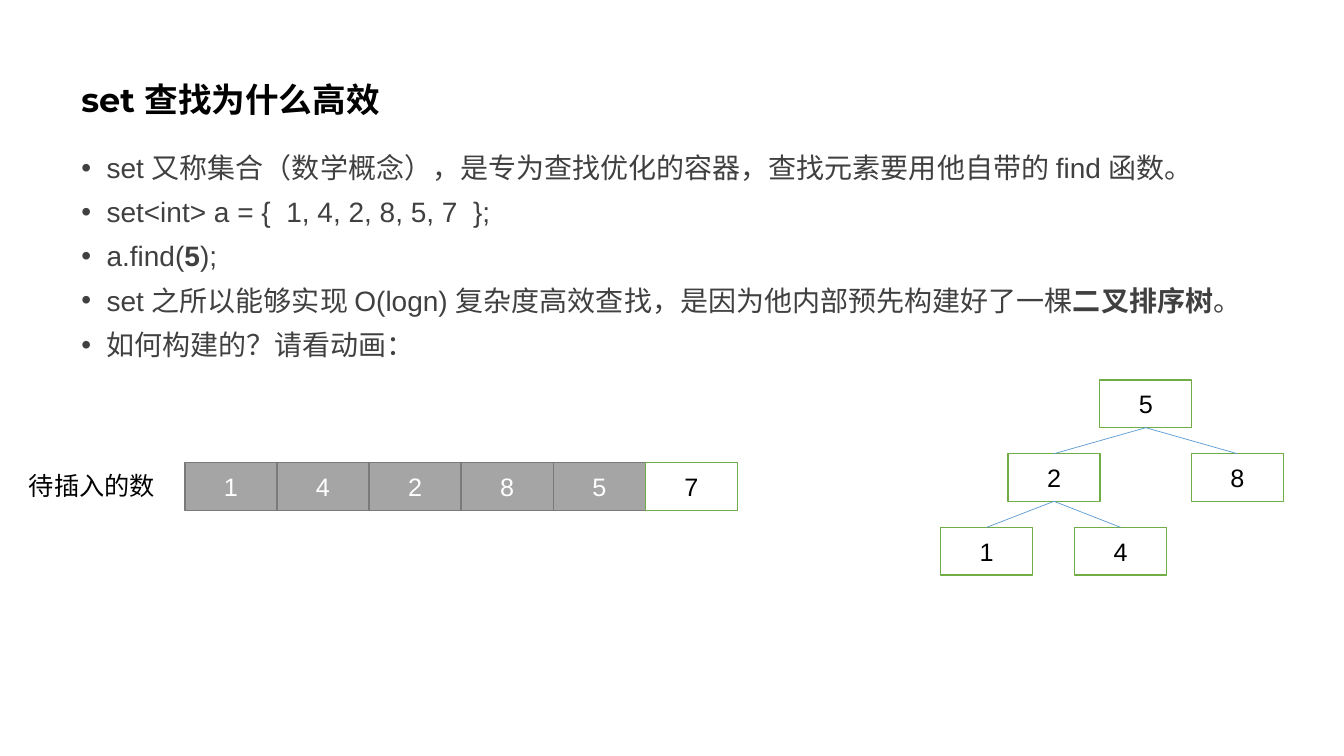
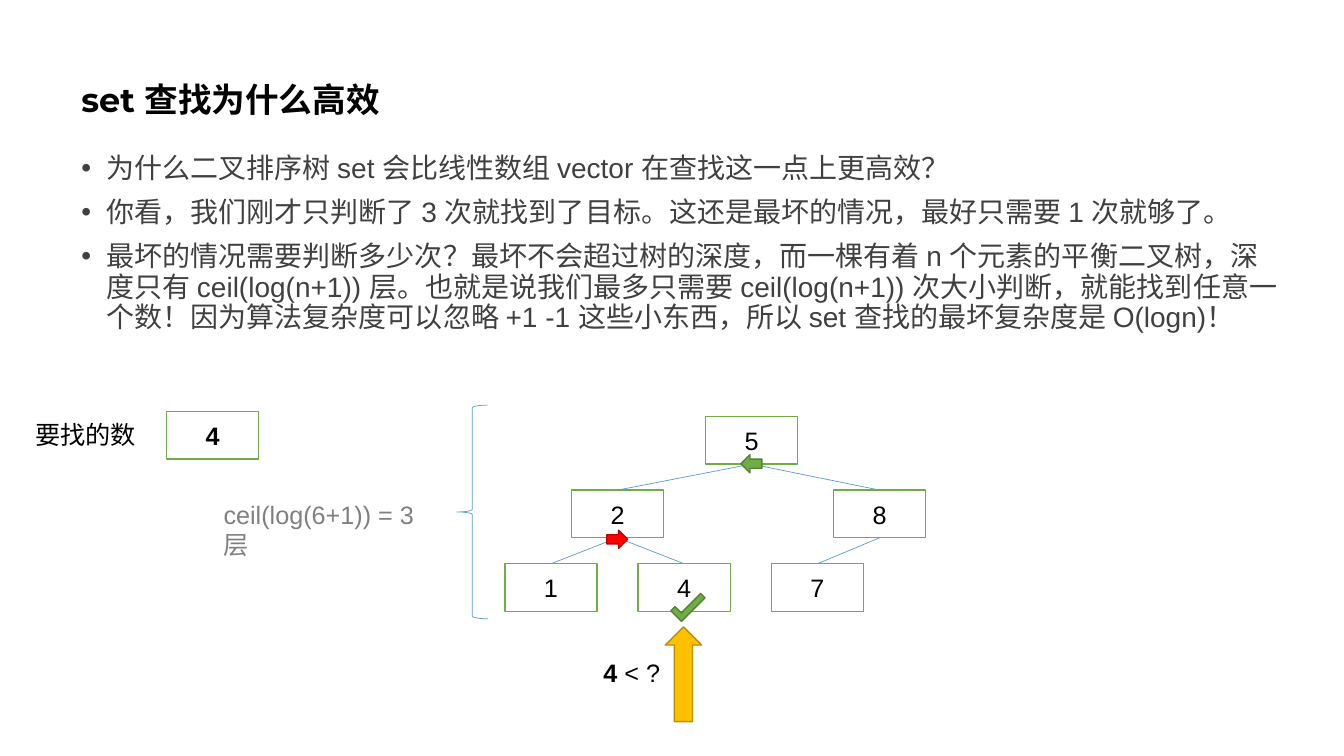
"""Two slides on why lookups in a set are fast."""
from lxml.etree import SubElement
from pptx import Presentation
from pptx.dml.color import RGBColor
from pptx.enum.shapes import MSO_CONNECTOR as CONN, MSO_SHAPE as SHAPE
from pptx.enum.text import MSO_ANCHOR as ANCHOR, PP_ALIGN as ALIGN
from pptx.oxml.ns import qn
from pptx.util import Pt

BLACK = RGBColor(0x00, 0x00, 0x00)
WHITE = RGBColor(0xFF, 0xFF, 0xFF)
INK = RGBColor(0x40, 0x40, 0x40)
NOTE = RGBColor(0x80, 0x80, 0x80)
GRAY = RGBColor(0xA5, 0xA5, 0xA5)
GRAY_EDGE = RGBColor(0x7A, 0x7A, 0x7A)
GREEN = RGBColor(0x70, 0xAD, 0x47)
GREEN_EDGE = RGBColor(0x53, 0x80, 0x35)
RED = RGBColor(0xFF, 0x00, 0x00)
RED_EDGE = RGBColor(0xC0, 0x00, 0x00)
GOLD = RGBColor(0xFF, 0xC0, 0x00)
GOLD_EDGE = RGBColor(0xBD, 0x8E, 0x00)
BLUE = RGBColor(0x5B, 0x9B, 0xD5)
BODY_FONT, TITLE_FONT = "Arial", "Montserrat"
NODE_W, NODE_H, LEVEL_GAP = 65.8, 34, 52.6
TOP, BOTTOM = 0, 2


class Deck:
    def __init__(self):
        self.prs = Presentation()
        self.prs.slide_width, self.prs.slide_height = Pt(960), Pt(540)
        self.s = None

    def slide(self, title, paragraphs):
        self.s = self.prs.slides.add_slide(self.prs.slide_layouts[6])
        tf = self.box(51, 20, 828, 104.4)
        tf.vertical_anchor = ANCHOR.MIDDLE
        p = tf.paragraphs[0]
        p.line_spacing = 0.9
        self.run(p, title, 24, BLACK, True, TITLE_FONT)
        self.bullets(paragraphs)

    def box(self, x, y, w, h, wrap=True):
        tf = self.s.shapes.add_textbox(Pt(x), Pt(y), Pt(w), Pt(h)).text_frame
        tf.word_wrap = wrap
        return tf

    def run(self, p, text, size=18, color=BLACK, bold=False, font=BODY_FONT):
        r = p.add_run()
        r.text = text
        r.font.size, r.font.bold, r.font.name = Pt(size), bold, font
        r.font.color.rgb = color

    def bullets(self, paragraphs):
        tf = self.box(51, 106.6, 870.5, 342.7)
        for i, runs in enumerate(paragraphs):
            p = tf.add_paragraph() if i else tf.paragraphs[0]
            p.line_spacing, p.space_before = 0.9, Pt(10)
            pPr = p._p.get_or_add_pPr()
            pPr.set("marL", str(Pt(18)))
            pPr.set("indent", str(Pt(-18)))
            SubElement(pPr, qn("a:buFont"), typeface="Arial")
            SubElement(pPr, qn("a:buChar"), char="•")
            for j, text in enumerate(runs):
                self.run(p, text, 20, INK, j % 2 == 1)

    def label(self, x, y, w, *runs, wrap=False, color=BLACK):
        p = self.box(x, y, w, 29, wrap).paragraphs[0]
        for text, bold in runs:
            self.run(p, text, color=color, bold=bold)

    def shape(self, kind, x, y, w, h, fill, edge, width=1):
        sp = self.s.shapes.add_shape(kind, Pt(x), Pt(y), Pt(w), Pt(h))
        sp.shadow.inherit = False
        if fill is None:
            sp.fill.background()
        else:
            sp.fill.solid()
            sp.fill.fore_color.rgb = fill
        sp.line.color.rgb, sp.line.width = edge, Pt(width)
        return sp

    def node(self, value, x, y, done=False, bold=False):
        fill, edge, ink = (GRAY, GRAY_EDGE, WHITE) if done else (WHITE, GREEN, BLACK)
        sp = self.shape(SHAPE.RECTANGLE, x, y, NODE_W, NODE_H, fill, edge)
        sp.text_frame.vertical_anchor = ANCHOR.MIDDLE
        p = sp.text_frame.paragraphs[0]
        p.alignment = ALIGN.CENTER
        self.run(p, str(value), color=ink, bold=bold)
        return sp

    def link(self, parent, child):
        c = self.s.shapes.add_connector(CONN.STRAIGHT, 0, 0, 0, 0)
        c.begin_connect(parent, BOTTOM)
        c.end_connect(child, TOP)
        c.line.color.rgb, c.line.width = BLUE, Pt(0.5)
        SubElement(c._element.spPr, qn("a:effectLst"))

    def tree(self, top, levels, edges):
        nodes = {value: self.node(value, x, top + depth * LEVEL_GAP)
                 for depth, level in enumerate(levels)
                 for value, x in level.items()}
        for parent, child in edges:
            self.link(nodes[parent], nodes[child])


def build_slide(deck):
    deck.slide("set 查找为什么高效", [
        ["set 又称集合（数学概念），是专为查找优化的容器，查找元素要用他自带的 find 函数。"],
        ["set<int> a = {  1, 4, 2, 8, 5, 7  };"],
        ["a.find(", "5", ");"],
        ["set 之所以能够实现 O(logn) 复杂度高效查找，是因为他内部预先构建好了一棵",
         "二叉排序树", "。"],
        ["如何构建的？请看动画："],
    ])
    deck.label(13.5, 332.6, 104.4, ("待插入的数", False))
    for i, value in enumerate([1, 4, 2, 8, 5, 7]):
        deck.node(value, 132 + i * NODE_W, 330.5, done=value != 7)
    deck.tree(271.5, [{5: 785.5}, {2: 720, 8: 851}, {1: 671.8, 4: 767.6}],
              [(5, 2), (5, 8), (2, 1), (2, 4)])


def search_slide(deck):
    deck.slide("set 查找为什么高效", [
        ["为什么二叉排序树 set 会比线性数组 vector 在查找这一点上更高效？"],
        ["你看，我们刚才只判断了 3 次就找到了目标。这还是最坏的情况，最好只需要 1 次就够了。"],
        ["最坏的情况需要判断多少次？最坏不会超过树的深度，而一棵有着 n 个元素的平衡二叉树，"
         "深度只有 ceil(log(n+1)) 层。也就是说我们最多只需要 ceil(log(n+1)) 次大小判断，"
         "就能找到任意一个数！因为算法复杂度可以忽略 +1 -1 这些小东西，"
         "所以 set 查找的最坏复杂度是 O(logn)！"],
    ])
    deck.tree(297.5, [{5: 504}, {2: 408.2, 8: 595.5}, {1: 360.6, 4: 455.8, 7: 551}],
              [(5, 2), (5, 8), (2, 1), (2, 4), (8, 7)])
    deck.label(18, 296, 86.4, ("要找的数", False))
    deck.node(4, 119, 293.8, bold=True)
    deck.shape(SHAPE.LEFT_ARROW, 529.2, 324.7, 15, 13, GREEN, GREEN_EDGE)
    deck.shape(SHAPE.RIGHT_ARROW, 433.4, 378.7, 15, 13, RED, RED_EDGE)
    check = deck.shape(SHAPE.CORNER, 479.5, 426.2, 23.8, 10.8, GREEN, GREEN_EDGE)
    check.adjustments[0], check.adjustments[1] = 0.41, 0.39
    check.rotation = 315
    deck.shape(SHAPE.LEFT_BRACE, 326.2, 289.4, 22.3, 152.6, None, BLUE, 0.5)
    deck.label(152.6, 352.8, 169, ("ceil(log(6+1)) = 3 层", False), wrap=True, color=NOTE)
    deck.shape(SHAPE.UP_ARROW, 475.2, 447.8, 26, 67.7, GOLD, GOLD_EDGE)
    deck.label(424, 465.8, 54.7, ("4", True), (" < ?", False))


def main():
    deck = Deck()
    build_slide(deck)
    search_slide(deck)
    deck.prs.save("out.pptx")


if __name__ == "__main__":
    main()
